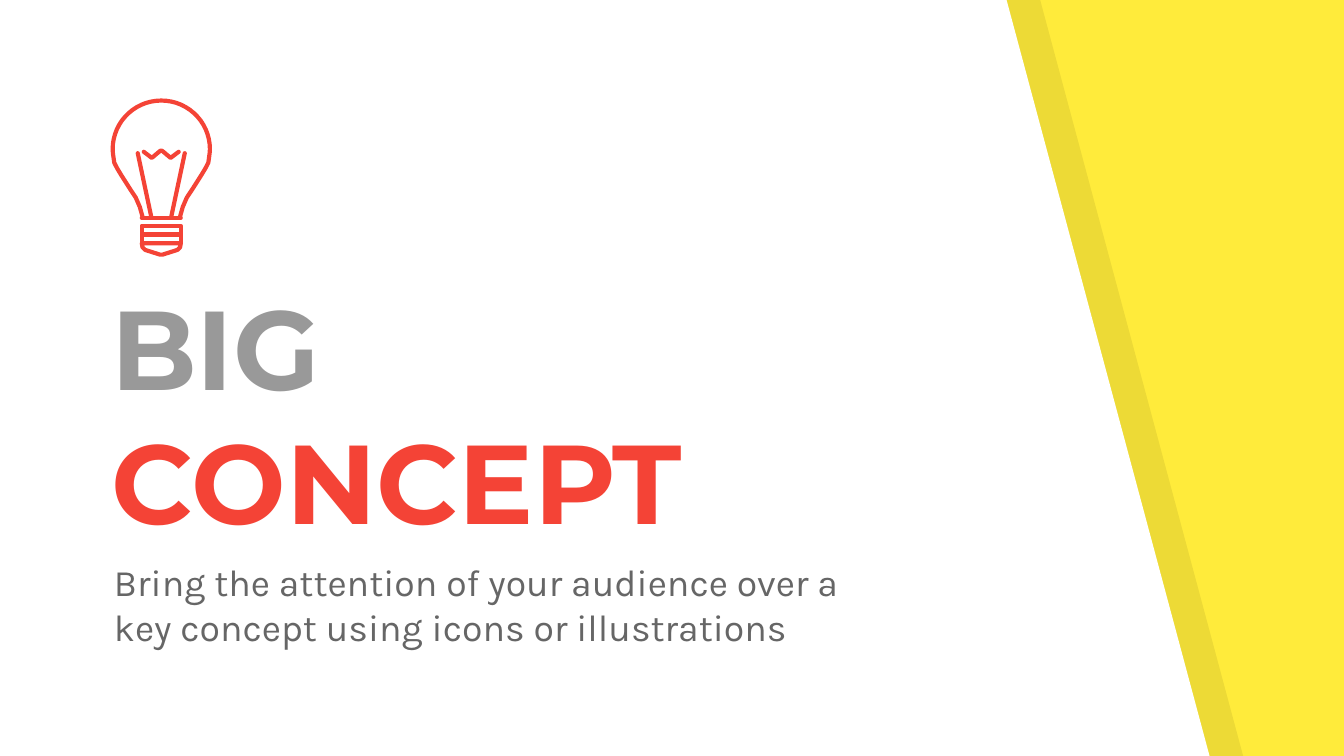
import dataclasses
import math

import pptx
import pptx.dml.color
import pptx.enum.shapes
import pptx.enum.text
import pptx.oxml.ns
import pptx.util
from lxml import etree

COLUMNS, ROWS = 100, 56.25  # grid cells of a tenth of an inch


@dataclasses.dataclass(frozen=True)
class Theme:
    yellow: str = "FFEB3B"
    white: str = "FFFFFF"
    shade: str = "000000"
    red: str = "F44336"
    light_gray: str = "999999"
    dark_gray: str = "666666"
    title_font: str = "Montserrat"
    body_font: str = "Karla"
    title_size: int = 60
    body_size: int = 20
    stroke: float = 2.25


def rgb(value):
    return pptx.dml.color.RGBColor.from_string(value)


def grid(cells):
    return pptx.util.Emu(round(pptx.util.Inches(0.1) * cells))


class Painter:
    def __init__(self, page, theme):
        self.page = page
        self.theme = theme

    def background(self, color):
        fill = self.page.background.fill
        fill.solid()
        fill.fore_color.rgb = rgb(color)

    def outline(self, points, closed):
        start, *rest = [(grid(x), grid(y)) for x, y in points]
        builder = self.page.shapes.build_freeform(*start)
        builder.add_line_segments(rest, close=closed)
        shape = builder.convert_to_shape()
        shape.shadow.inherit = False
        return shape

    def area(self, points, color, opacity=100):
        shape = self.outline(points, closed=True)
        shape.fill.solid()
        shape.fill.fore_color.rgb = rgb(color)
        shape.line.fill.background()
        if opacity < 100:
            tint = shape.fill._xPr.find(".//" + pptx.oxml.ns.qn("a:srgbClr"))
            etree.SubElement(tint, pptx.oxml.ns.qn("a:alpha"), val=str(opacity * 1000))

    def pen(self, shape):
        shape.line.color.rgb = rgb(self.theme.red)
        shape.line.width = pptx.util.Pt(self.theme.stroke)
        line = shape.line._get_or_add_ln()
        line.set("cap", "rnd")
        etree.SubElement(line, pptx.oxml.ns.qn("a:round"))

    def stroke(self, points, closed=False):
        shape = self.outline(points, closed)
        shape.fill.background()
        self.pen(shape)

    def line(self, start, end):
        connector = self.page.shapes.add_connector(
            pptx.enum.shapes.MSO_CONNECTOR.STRAIGHT,
            *map(grid, (*start, *end)))
        self.pen(connector)
        etree.SubElement(connector._element.spPr, pptx.oxml.ns.qn("a:effectLst"))

    def text(self, place, spans, font, size, bold=False, anchor="TOP"):
        box = self.page.shapes.add_textbox(*map(grid, place))
        frame = box.text_frame
        frame.word_wrap = True
        frame.vertical_anchor = pptx.enum.text.MSO_ANCHOR[anchor]
        for side in ("left", "top", "right", "bottom"):
            setattr(frame, "margin_" + side, grid(1))
        para = frame.paragraphs[0]
        para.font.name = font
        para.font.size = pptx.util.Pt(size)
        para.font.bold = bold
        for words, color in spans:
            span = para.add_run()
            span.text = words
            span.font.color.rgb = rgb(color)


def draw_bulb(painter):
    center, radius = 12, 3.62

    def mirror(points):
        return [(2 * center - x, y) for x, y in points]

    # Glass: a half circle on two mirrored flanks
    flank = [(15.6, 11.4), (15.5, 12.1), (15.3, 12.5), (15, 13), (14.3, 14.1),
             (13.9, 14.7), (13.6, 15.4), (13.4, 16.1)]
    angles = [math.radians(degrees) for degrees in range(180, -1, -6)]
    dome = [(center + radius * math.cos(angle), 11.1 - radius * math.sin(angle))
            for angle in angles]
    painter.stroke(mirror(flank)[::-1] + dome + flank)

    # Filament
    support = [(13.75, 11.4), (12.75, 16.1)]
    for points in (support, mirror(support)):
        painter.stroke(points)
    zigzag = [(10.7, 11.3), (11.3, 11.75), (11.9, 11.25)]
    painter.stroke(zigzag + [(center, 11.2)] + mirror(zigzag)[::-1])

    # Screw base
    left, right = 10.55, 13.45
    painter.line((left, 16.2), (right, 16.2))
    for top, bottom in ((16.8, 17.45), (17.45, 18.1)):
        painter.stroke([(left, top), (right, top), (right, bottom), (left, bottom)],
                       closed=True)
    tip = [(left, 18.1), (10.6, 18.4), (10.8, 18.6), (11.9, 18.95)]
    painter.stroke(tip + mirror(tip)[::-1], closed=True)


def main():
    theme = Theme()
    deck = pptx.Presentation()
    deck.slide_width, deck.slide_height = grid(COLUMNS), grid(ROWS)
    painter = Painter(deck.slides.add_slide(deck.slide_layouts[6]), theme)

    # Slanted white panel over its shaded edge
    painter.background(theme.yellow)
    for shift, color, opacity in ((2.5, theme.shade, 7), (0, theme.white, 100)):
        panel = [(0, 0), (0, ROWS), (90, ROWS), (74.9, 0)]
        painter.area([(x + shift, y) for x, y in panel], color, opacity)

    # Title and subtitle
    painter.text((7.3, 29, 57.4, 12.7),
                 [("BIG ", theme.light_gray), ("CONCEPT", theme.red)],
                 theme.title_font, theme.title_size, bold=True, anchor="BOTTOM")
    painter.text((7.5, 40.6, 57.4, 8.6),
                 [("Bring the attention of your audience over a key concept "
                   "using icons or illustrations", theme.dark_gray)],
                 theme.body_font, theme.body_size)

    draw_bulb(painter)
    deck.save("out.pptx")


if __name__ == "__main__":
    main()
